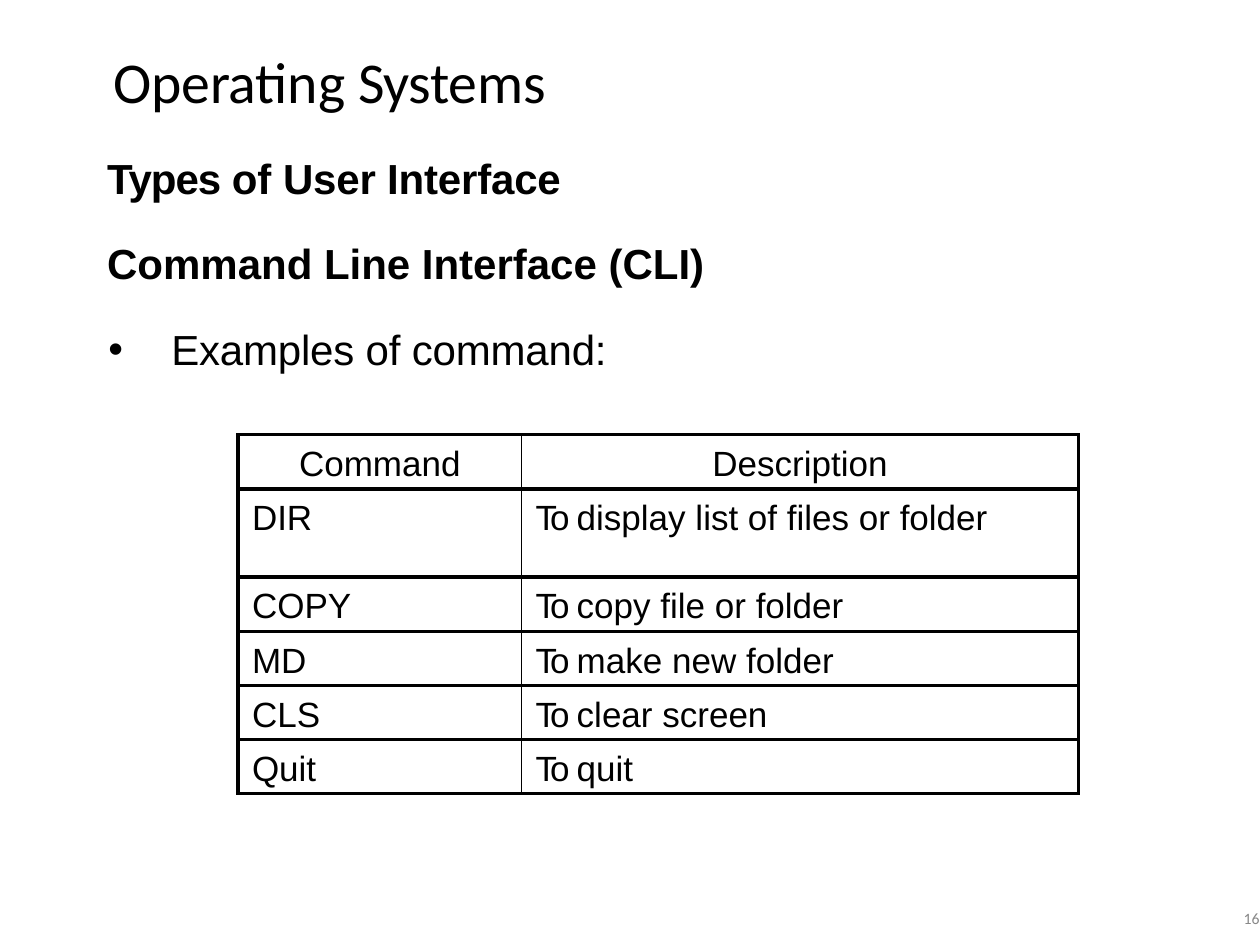
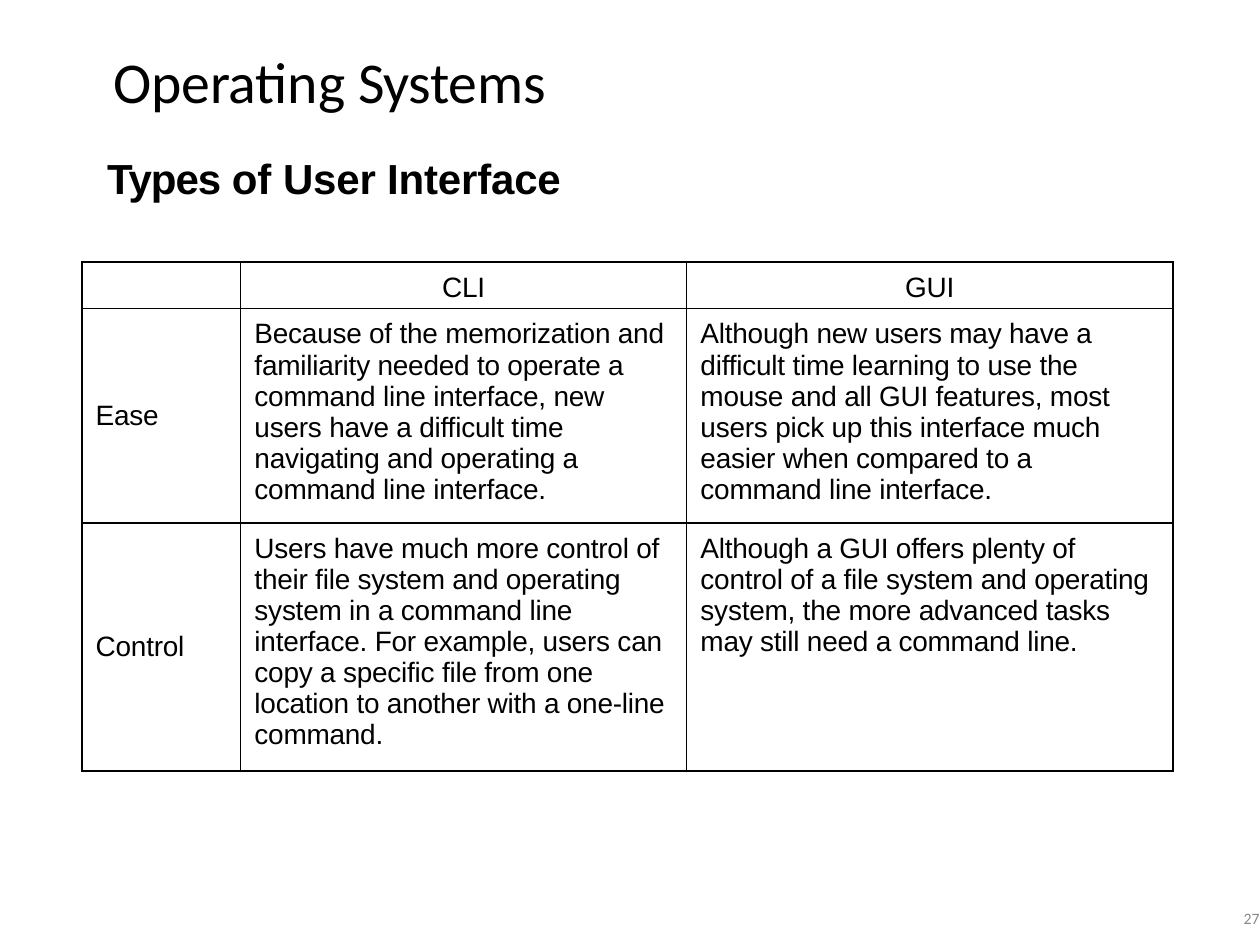
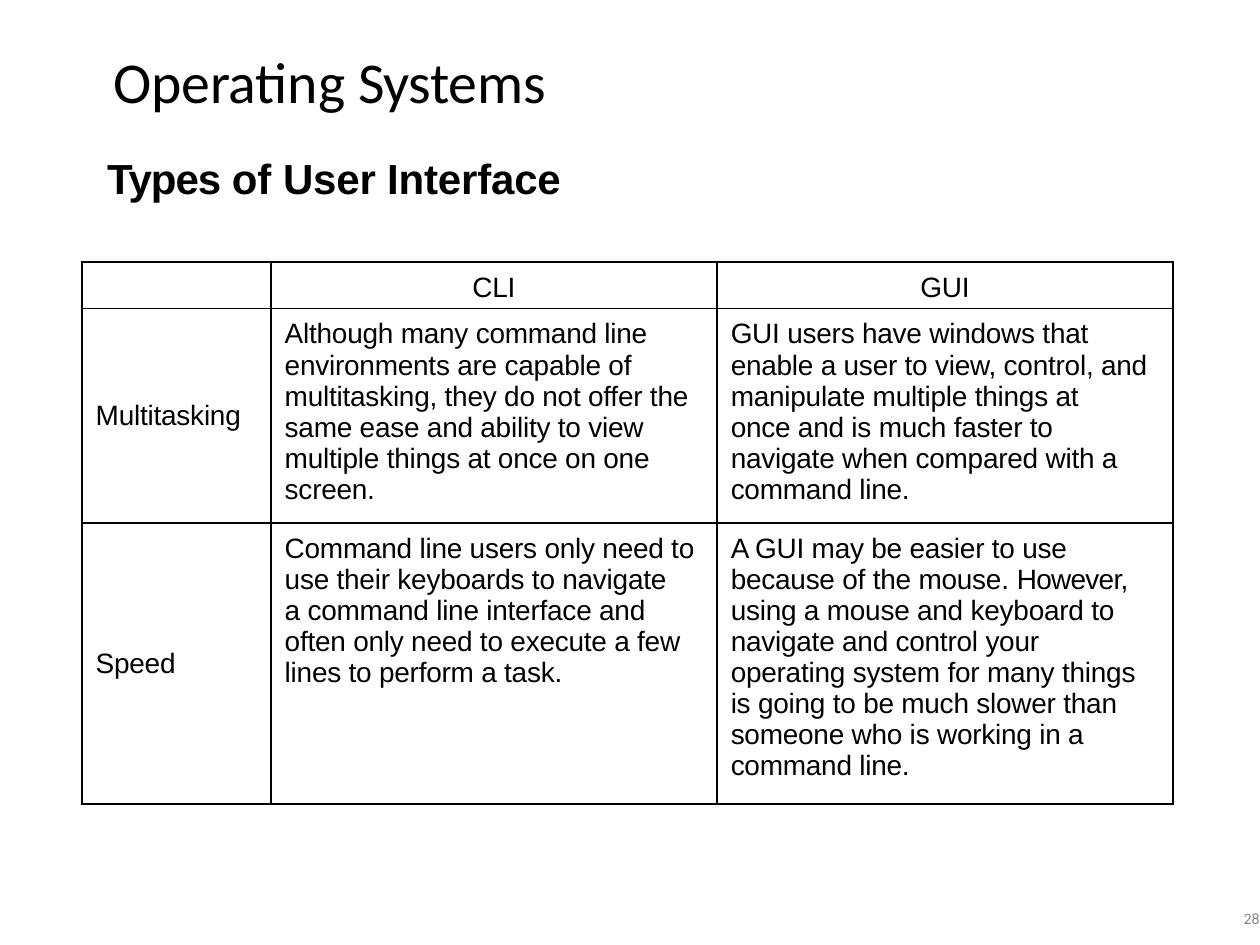
"""Build three slides on operating system user interfaces."""
import pptx
import pptx.dml.color
import pptx.enum.text
import pptx.oxml.ns
import pptx.util
from lxml import etree

Inches = pptx.util.Inches
Pt = pptx.util.Pt
Align = pptx.enum.text.PP_ALIGN
Anchor = pptx.enum.text.MSO_ANCHOR
qn = pptx.oxml.ns.qn

COLORS = {"ink": "000000", "number": "888888"}
TITLE = [("Operating ", -0.1), ("Systems", -0.2)]
HEADING = [("Types ", -0.6), ("of ", 0), ("User Interface", -0.1)]

COMMANDS = {
    "left": 1.89, "top": 3.45, "columns": [2.25, 4.42],
    "heights": [0.43, 0.7, 0.43, 0.43, 0.43, 0.43],
    "size": 20, "outer": 2.25, "inner": 1, "spacing": 0, "label_anchor": Anchor.TOP,
    "rows": [
        ["Command", "Description"],
        ["DIR", [("To ", -1.6), ("display list of files or folder", 0)]],
        ["COPY", [("To ", -1.6), ("copy file or folder", 0)]],
        ["MD", [("To ", -1.6), ("make new folder", 0)]],
        ["CLS", [("To ", -1.6), ("clear screen", 0)]],
        ["Quit", [("To ", -1.6), ("quit", 0)]],
    ],
}
COMPARISON = {
    "left": 0.65, "top": 2.08, "size": 16, "outer": 1, "inner": 1, "spacing": -0.1,
    "label_anchor": Anchor.MIDDLE,
}
EASE_AND_CONTROL = COMPARISON | {
    "columns": [1.26, 3.54, 3.86], "heights": [0.37, 1.7, 1.97],
    "rows": [
        ["", "CLI", "GUI"],
        ["Ease",
         "Because of the memorization and familiarity needed to operate a command line "
         "interface, new users have a difficult time navigating and operating a command "
         "line interface.",
         "Although new users may have a difficult time learning to use the mouse and all "
         "GUI features, most users pick up this interface much easier when compared to a "
         "command line interface."],
        ["Control",
         "Users have much more control of their file system and operating system in a "
         "command line interface. For example, users can copy a specific file from one "
         "location to another with a one-line command.",
         "Although a GUI offers plenty of control of a file system and operating system, "
         "the more advanced tasks may still need a command line."],
    ],
}
MULTITASKING_AND_SPEED = COMPARISON | {
    "columns": [1.5, 3.54, 3.62], "heights": [0.37, 1.7, 2.23],
    "rows": [
        ["", "CLI", "GUI"],
        ["Multitasking",
         "Although many command line environments are capable of multitasking, they do "
         "not offer the same ease and ability to view multiple things at once on one "
         "screen.",
         "GUI users have windows that enable a user to view, control, and manipulate "
         "multiple things at once~and is much faster to navigate~when compared with a "
         "command~line."],
        ["Speed",
         "Command line users only need to use their keyboards to navigate a~command line "
         "interface and often~only need to execute a few lines~to perform a task.",
         [("A GUI may be easier to use because of the mouse. ", -0.1), ("However, ", -0.4),
          ("using a mouse and keyboard to navigate and control your operating system for "
           "many things is going to be much slower than someone who is working in a "
           "command line.", -0.1)]],
    ],
}
SLIDES = [
    {"number": "16", "table": COMMANDS, "body_size": (4.76, 1.78),
     "subheading": "Command Line Interface (CLI)", "bullet": "Examples of command:"},
    {"number": "27", "table": EASE_AND_CONTROL, "body_size": (3.68, 0.43)},
    {"number": "28", "table": MULTITASKING_AND_SPEED, "body_size": (3.68, 0.43)},
]


def write_text(paragraph, text, *, size, font="Arial", color="ink", bold=False,
               spacing=0, align=Align.LEFT, before=0, bullet=False):
    """Fill a paragraph with a string or (text, spacing) runs; ~ keeps two words together."""
    properties = paragraph._p.get_or_add_pPr()
    properties.set("marL", str(Inches(0.51 if bullet else 0)))
    properties.set("indent", str(Inches(-0.5 if bullet else 0)))
    paragraph.alignment = align
    paragraph.space_before = Pt(before)
    if bullet:
        etree.SubElement(properties, qn("a:buChar")).set("char", "•")
    else:
        etree.SubElement(properties, qn("a:buNone"))
    for words, tracking in [(text, spacing)] if isinstance(text, str) else text:
        run = paragraph.add_run()
        run.text = words.replace("~", chr(160))
        run.font.size = Pt(size)
        run.font.name = font
        run.font.bold = bold
        run.font.color.rgb = pptx.dml.color.RGBColor.from_string(COLORS[color])
        run._r.get_or_add_rPr().set("spc", str(round(tracking * 100)))


def place(shape, left, top, width, height, inset_left=0.01, inset_top=0.02):
    """Position a text shape, set its insets and return its text frame."""
    shape.left, shape.top = Inches(left), Inches(top)
    shape.width, shape.height = Inches(width), Inches(height)
    frame = shape.text_frame
    frame.word_wrap = True
    frame.auto_size = pptx.enum.text.MSO_AUTO_SIZE.NONE
    frame.vertical_anchor = Anchor.TOP
    frame.margin_left, frame.margin_top = Inches(inset_left), Inches(inset_top)
    frame.margin_right = frame.margin_bottom = 0
    return frame


def set_borders(cell, widths):
    """Draw the cell edges, given widths in points by edge tag."""
    properties = cell._tc.get_or_add_tcPr()
    for edge, width in widths.items():
        line = etree.SubElement(properties, qn(f"a:{edge}"))
        line.set("w", str(Pt(width)))
        fill = etree.SubElement(line, qn("a:solidFill"))
        etree.SubElement(fill, qn("a:srgbClr")).set("val", COLORS["ink"])


def add_grid(slide, content):
    """Add a bordered table with a centred header row."""
    rows, columns, heights = content["rows"], content["columns"], content["heights"]
    outer, inner = content["outer"], content["inner"]
    table = slide.shapes.add_table(
        len(rows), len(columns), Inches(content["left"]), Inches(content["top"]),
        Inches(sum(columns)), Inches(sum(heights))).table
    table.first_row = table.horz_banding = False
    for column, width in zip(table.columns, columns):
        column.width = Inches(width)
    for row, height in zip(table.rows, heights):
        row.height = Inches(height)
    for row_index, row in enumerate(rows):
        for column_index, text in enumerate(row):
            cell = table.cell(row_index, column_index)
            header = row_index == 0
            anchor = Anchor.TOP if column_index else content["label_anchor"]
            cell.vertical_anchor = anchor
            cell.margin_left = Inches(0 if header else 0.11)
            cell.margin_right = Inches(0.13 if column_index and not header else 0)
            cell.margin_top = Inches(0.08 if anchor == Anchor.TOP else 0)
            cell.margin_bottom = 0
            set_borders(cell, {
                "lnL": inner if column_index else outer,
                "lnR": inner if column_index < len(columns) - 1 else outer,
                "lnT": outer, "lnB": outer})
            cell.fill.background()
            if text:
                write_text(cell.text_frame.paragraphs[0], text, size=content["size"],
                           spacing=content["spacing"],
                           align=Align.CENTER if header else Align.LEFT)


def add_slide(presentation, content):
    """Add one slide with its title, headings, page number and table."""
    slide = presentation.slides.add_slide(presentation.slide_layouts[1])
    title = place(slide.shapes.title, 0.89, 0.34, 3.48, 0.58)
    write_text(title.paragraphs[0], TITLE, size=33, font="Calibri")
    number = place(slide.shapes.add_textbox(0, 0, 0, 0), 9.83, 7.23, 0.21, 0.15, 0.04, 0)
    write_text(number.paragraphs[0], content["number"], size=9, font="Calibri", color="number")
    number.paragraphs[0].line_spacing = Pt(9.6)
    body = place(slide.placeholders[1], 0.84, 1.19, *content["body_size"])
    write_text(body.paragraphs[0], HEADING, size=24, bold=True)
    if "subheading" in content:
        write_text(body.add_paragraph(), content["subheading"], size=24, bold=True, before=20)
        write_text(body.add_paragraph(), content["bullet"], size=24, spacing=-0.1,
                   before=20, bullet=True)
    add_grid(slide, content["table"])


def main():
    """Build and save the presentation."""
    presentation = pptx.Presentation()
    presentation.slide_width, presentation.slide_height = Inches(10), Inches(7.5)
    for content in SLIDES:
        add_slide(presentation, content)
    presentation.save("out.pptx")


if __name__ == "__main__":
    main()
